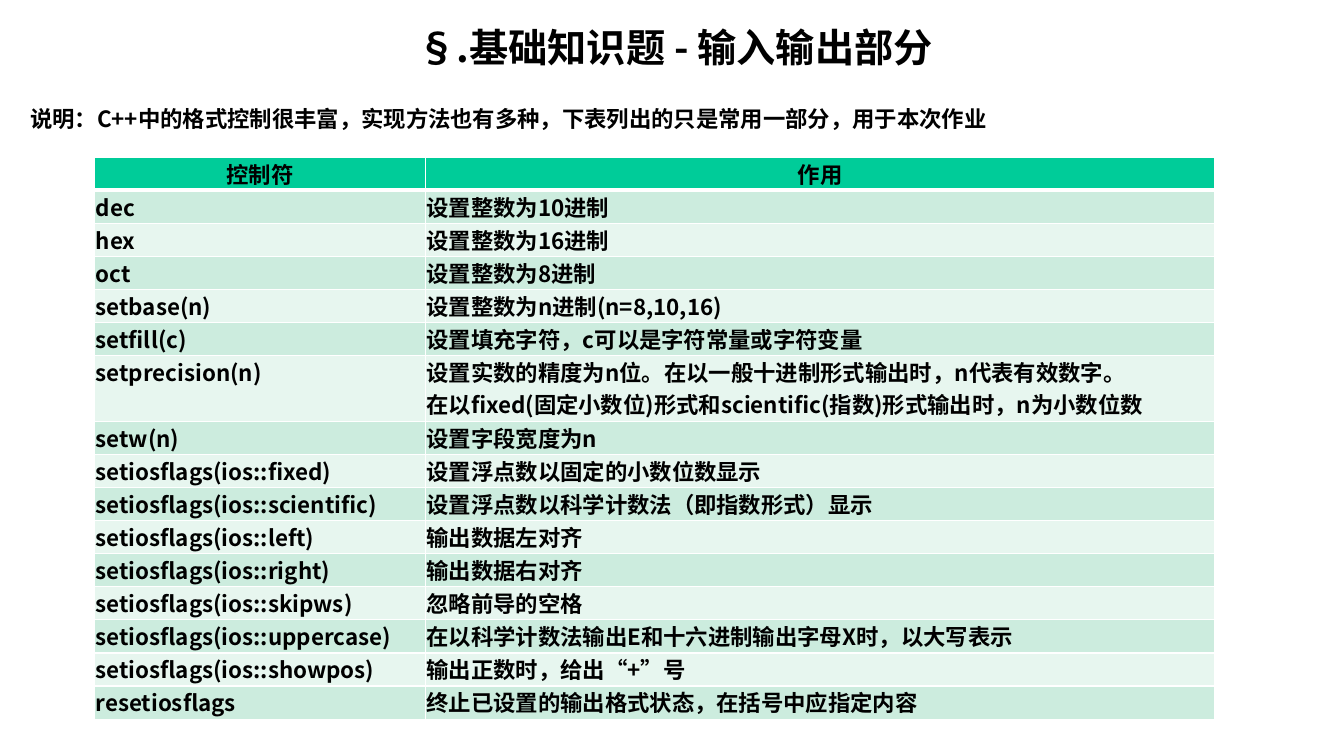
from dataclasses import dataclass

from lxml.etree import SubElement
from pptx import Presentation
from pptx.dml.color import RGBColor
from pptx.enum.text import MSO_ANCHOR, PP_ALIGN
from pptx.oxml.ns import qn
from pptx.util import Inches, Pt


@dataclass(frozen=True)
class Theme:
    font: str = "Noto Sans CJK SC"
    text: str = "000000"
    header: str = "00CC99"
    bands: tuple = ("CCECDE", "E7F6EF")
    rule: str = "FFFFFF"
    title_size: int = 28
    body_size: int = 16
    thin: int = 1
    thick: int = 3


THEME = Theme()
SLIDE_W, SLIDE_H = Inches(13.33), Inches(7.5)

TITLE = "§.基础知识题 - 输入输出部分"
NOTE = "说明：C++中的格式控制很丰富，实现方法也有多种，下表列出的只是常用一部分，用于本次作业"
HEADINGS = ("控制符", "作用")
MANIPULATORS = [
    ("dec", "设置整数为10进制"),
    ("hex", "设置整数为16进制"),
    ("oct", "设置整数为8进制"),
    ("setbase(n)", "设置整数为n进制(n=8,10,16)"),
    ("setfill(c)", "设置填充字符，c可以是字符常量或字符变量"),
    ("setprecision(n)",
     "设置实数的精度为n位。在以一般十进制形式输出时，n代表有效数字。\n"
     "在以fixed(固定小数位)形式和scientific(指数)形式输出时，n为小数位数"),
    ("setw(n)", "设置字段宽度为n"),
    ("setiosflags(ios::fixed)", "设置浮点数以固定的小数位数显示"),
    ("setiosflags(ios::scientific)", "设置浮点数以科学计数法（即指数形式）显示"),
    ("setiosflags(ios::left)", "输出数据左对齐"),
    ("setiosflags(ios::right)", "输出数据右对齐"),
    ("setiosflags(ios::skipws)", "忽略前导的空格"),
    ("setiosflags(ios::uppercase)", "在以科学计数法输出E和十六进制输出字母X时，以大写表示"),
    ("setiosflags(ios::showpos)", "输出正数时，给出“+”号"),
    ("resetiosflags", "终止已设置的输出格式状态，在括号中应指定内容"),
]


def across(percent):
    return round(SLIDE_W * percent / 100)


def down(percent):
    return round(SLIDE_H * percent / 100)


def apply(obj, formats):
    for name, value in formats.items():
        setattr(obj, name, value)


def write(p, text, size, **formats):
    """Fill one paragraph with a bold run in the theme font."""
    apply(p, formats)
    r = p.add_run()
    r.text = text
    apply(r.font, {"name": THEME.font, "size": Pt(size), "bold": True})
    r.font.color.rgb = RGBColor.from_string(THEME.text)
    SubElement(r.font._element, qn("a:ea"), typeface=THEME.font)


def add_heading(slide):
    sp = slide.shapes.add_textbox(across(1.5), down(2.4), across(97.45), down(94.53))
    tf = sp.text_frame
    tf.word_wrap = True
    write(tf.paragraphs[0], TITLE, THEME.title_size, alignment=PP_ALIGN.CENTER)
    write(tf.add_paragraph(), NOTE, THEME.body_size, space_before=Pt(25))


def set_borders(cell, **widths):
    tcPr = cell._tc.get_or_add_tcPr()
    for side in "LRTB":
        width = Pt(widths.get(side, THEME.thin))
        ln = SubElement(tcPr, qn(f"a:ln{side}"), w=str(width))
        SubElement(SubElement(ln, qn("a:solidFill")), qn("a:srgbClr"), val=THEME.rule)


def fill_cell(cell, text, color, align, anchor, **borders):
    apply(cell, {
        "margin_left": Inches(0.01), "margin_right": Inches(0.01),
        "margin_top": 0, "margin_bottom": 0, "vertical_anchor": anchor,
    })
    set_borders(cell, **borders)
    cell.fill.solid()
    cell.fill.fore_color.rgb = RGBColor.from_string(color)
    tf = cell.text_frame
    for i, line in enumerate(text.split("\n")):
        p = tf.add_paragraph() if i else tf.paragraphs[0]
        write(p, line, THEME.body_size, alignment=align)


def add_manipulator_table(slide):
    rows = [HEADINGS, *MANIPULATORS]
    widths = (across(24.61), across(58.74))
    heights = [down(8.66 if "\n" in effect else 4.38) for _, effect in rows]
    table = slide.shapes.add_table(
        len(rows), len(widths), across(7.05), down(20.8), sum(widths), sum(heights)).table
    for column, width in zip(table.columns, widths):
        column.width = width
    for row, height in zip(table.rows, heights):
        row.height = height

    # Header row, then alternating bands
    for cell, text in zip(table.rows[0].cells, HEADINGS):
        fill_cell(cell, text, THEME.header, PP_ALIGN.CENTER, MSO_ANCHOR.MIDDLE, B=THEME.thick)
    for i, texts in enumerate(MANIPULATORS):
        top = THEME.thin if i else THEME.thick
        for cell, text in zip(table.rows[i + 1].cells, texts):
            fill_cell(cell, text, THEME.bands[i % 2], PP_ALIGN.LEFT, MSO_ANCHOR.TOP, T=top)


def main():
    prs = Presentation()
    apply(prs, {"slide_width": SLIDE_W, "slide_height": SLIDE_H})
    slide = prs.slides.add_slide(prs.slide_layouts[6])
    add_heading(slide)
    add_manipulator_table(slide)
    prs.save("out.pptx")


if __name__ == "__main__":
    main()
